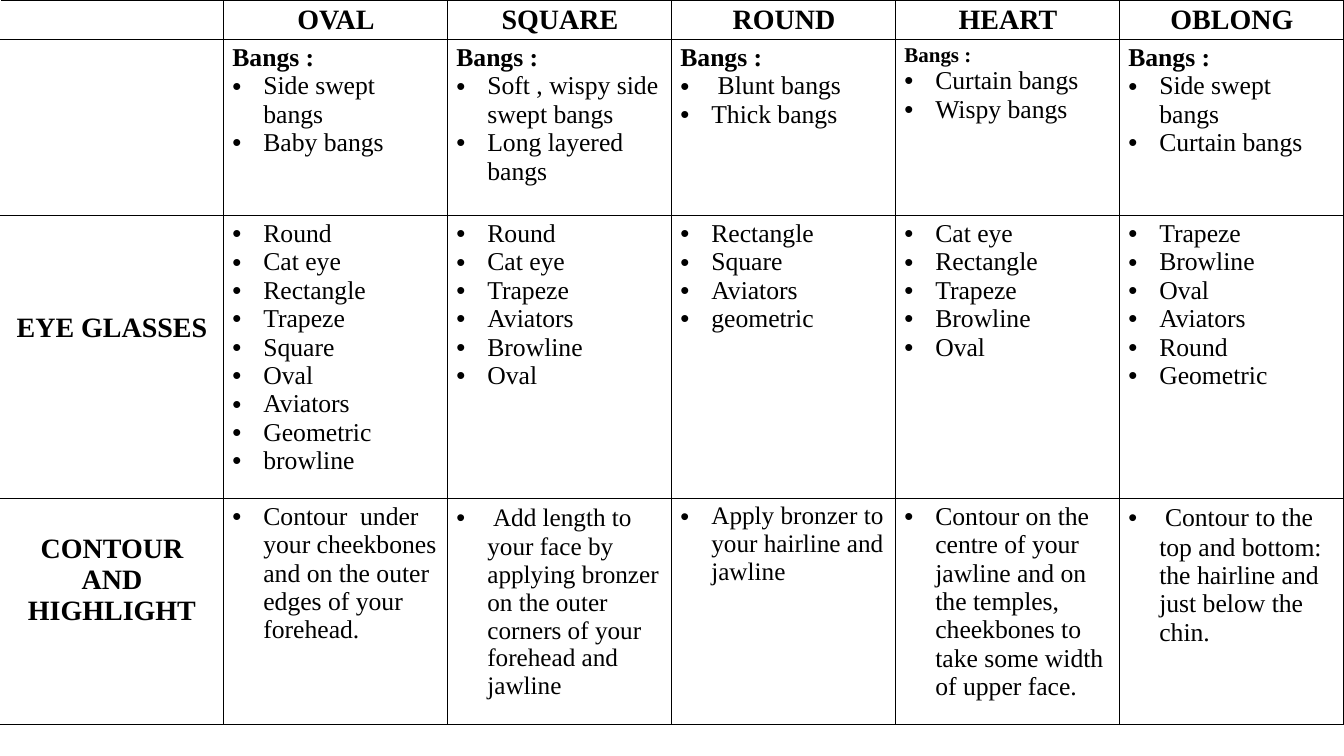
from dataclasses import dataclass

from lxml.etree import SubElement
from pptx import Presentation
from pptx.dml.color import RGBColor as RGB
from pptx.enum.text import MSO_ANCHOR as ANCHOR, PP_ALIGN as ALIGN
from pptx.oxml.ns import qn
from pptx.util import Pt


@dataclass(frozen=True)
class Theme:
    ink: str = "000000"
    font: str = "Times New Roman"
    lead_font: str = "Calibri"
    bullet_font: str = "Arial"
    heading: float = 24
    body: float = 22
    compact: float = 21.6
    small: float = 18
    border: float = 1


theme = Theme()


def px(n):
    return round(n * 914400 / 84)


def write(tf, text, size=theme.body, bold=False, align=ALIGN.LEFT, bullet=False, lead=""):
    p = tf.paragraphs[0] if not tf.text else tf.add_paragraph()
    p.alignment = align
    if bullet:
        pPr = p._p.get_or_add_pPr()
        pPr.set("marL", str(px(31)))
        pPr.set("indent", str(-px(31)))
        SubElement(pPr, qn("a:buFont"), typeface=theme.bullet_font)
        SubElement(pPr, qn("a:buChar"), char="•")
    runs = [(lead, theme.lead_font, theme.compact), (text, theme.font, size)]
    for words, font, points in runs:
        if words:
            r = p.add_run()
            r.text = words
            r.font.name = font
            r.font.size = Pt(points)
            r.font.bold = bold
            r.font.color.rgb = RGB.from_string(theme.ink)


shapes = ["OVAL", "SQUARE", "ROUND", "HEART", "OBLONG"]
bangs = [
    ["Side swept bangs", "Baby bangs"],
    ["Soft , wispy side swept bangs", "Long layered bangs"],
    [" Blunt bangs", "Thick bangs"],
    ["Curtain bangs", "Wispy bangs"],
    ["Side swept bangs", "Curtain bangs"],
]
glasses = [
    ["Round", "Cat eye", "Rectangle", "Trapeze", "Square", "Oval", "Aviators",
     "Geometric", "browline"],
    ["Round", "Cat eye", "Trapeze", "Aviators", "Browline", "Oval"],
    ["Rectangle", "Square", "Aviators", "geometric"],
    ["Cat eye", "Rectangle", "Trapeze", "Browline", "Oval"],
    ["Trapeze", "Browline", "Oval", "Aviators", "Round", "Geometric"],
]
contour = [
    ("", "Contour  under your cheekbones and on the outer edges of your forehead.",
     theme.body),
    (" ", "Add length to your face by applying bronzer on the outer corners of your "
     "forehead and jawline", theme.compact),
    ("", "Apply bronzer to your hairline and jawline", theme.compact),
    ("", "Contour on the centre of your jawline and on the temples, cheekbones to take "
     "some width of upper face.", theme.body),
    (" ", "Contour to the top and bottom: the hairline and just below the chin.",
     theme.body),
]
row_heights = [39, 176, 283, 226]
row_titles = [(2, "EYE GLASSES", 97), (3, "CONTOUR AND HIGHLIGHT", 35)]

prs = Presentation()
prs.slide_width, prs.slide_height = px(1344), px(756)
s = prs.slides.add_slide(prs.slide_layouts[6])

table = s.shapes.add_table(4, 6, 0, 0, px(1344), px(sum(row_heights))).table
table.first_row = False
table.horz_banding = False
for col in table.columns:
    col.width = px(224)
for row, height in zip(table.rows, row_heights):
    row.height = px(height)

for n, cell in enumerate(table.iter_cells()):
    cell.vertical_anchor = ANCHOR.TOP
    cell.fill.background()
    tcPr = cell._tc.get_or_add_tcPr()
    sides = ["lnR", "lnT", "lnB"] if n % 6 == 0 else ["lnL", "lnR", "lnT", "lnB"]
    for i, side in enumerate(sides):
        ln = SubElement(tcPr, qn(f"a:{side}"), w=str(Pt(theme.border)))
        fill = SubElement(ln, qn("a:solidFill"))
        SubElement(fill, qn("a:srgbClr"), val=theme.ink)
        tcPr.insert(i, ln)

for c, shape in enumerate(shapes, 1):
    write(table.cell(0, c).text_frame, shape, size=theme.heading, bold=True,
          align=ALIGN.CENTER)
    write(table.cell(1, c).text_frame, "Bangs :", bold=True,
          size=theme.small if shape == "HEART" else theme.body)

for r, title, top in row_titles:
    cell = table.cell(r, 0)
    cell.margin_top = px(top)
    write(cell.text_frame, title, size=theme.heading, bold=True, align=ALIGN.CENTER)

for r, advice in enumerate([bangs, glasses], 1):
    for c, items in enumerate(advice, 1):
        for item in items:
            write(table.cell(r, c).text_frame, item, bullet=True)

for c, (lead, text, size) in enumerate(contour, 1):
    write(table.cell(3, c).text_frame, text, size=size, bullet=True, lead=lead)

prs.save("out.pptx")
